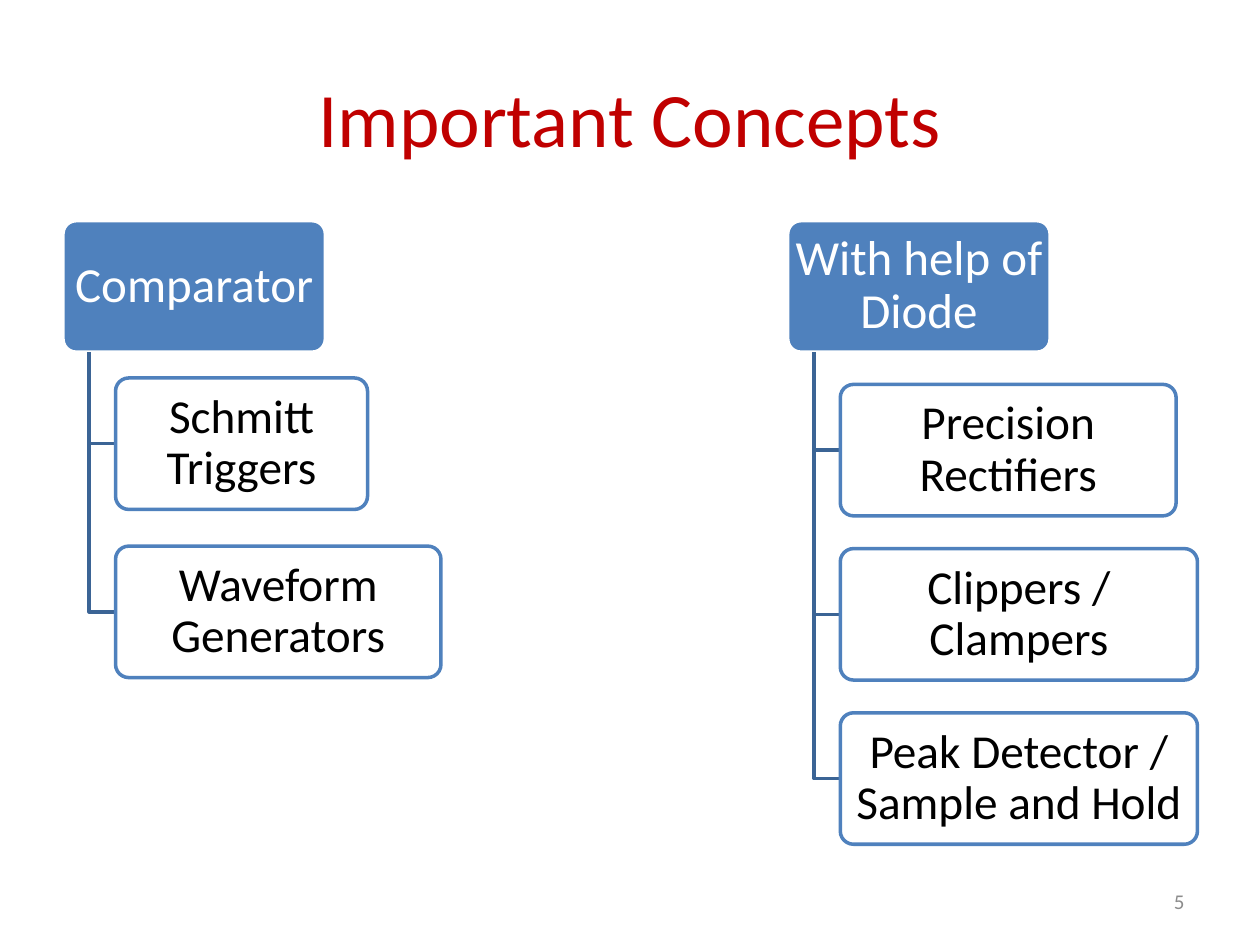
from dataclasses import dataclass

from pptx import Presentation
from pptx.dml.color import RGBColor
from pptx.enum.shapes import MSO_SHAPE
from pptx.enum.text import MSO_ANCHOR, PP_ALIGN
from pptx.shapes.autoshape import Shape
from pptx.slide import Slide
from pptx.util import Cm, Pt

ROUNDED = MSO_SHAPE.ROUNDED_RECTANGLE
MIDDLE = MSO_ANCHOR.MIDDLE
CENTER = PP_ALIGN.CENTER
RIGHT = PP_ALIGN.RIGHT


@dataclass(frozen=True)
class Theme:
    font: str = "Calibri"
    title: str = "C00000"
    accent: str = "4F81BD"
    branch: str = "3B6495"
    paper: str = "FFFFFF"
    ink: str = "000000"
    muted: str = "8C8C8C"
    title_size: float = 44
    head_size: float = 28
    item_size: float = 27
    number_size: float = 12
    line_width: float = 2
    line_spacing: float = 0.9


@dataclass(frozen=True)
class Frame:
    left: float
    top: float
    width: float
    height: float


@dataclass(frozen=True)
class Item:
    text: str
    width: float


@dataclass(frozen=True)
class Tree:
    head: str
    left: float
    first_top: float
    pitch: float
    items: tuple[Item, ...]


THEME = Theme()
TREE_TOP = 4.45
HEAD_WIDTH = 5.29
BOX_HEIGHT = 2.65
INDENT = 1.06
SPINE_OFFSET = INDENT / 2

TREES = (
    Tree("Comparator", 1.27, 7.62, 3.39, (
        Item("Schmitt Triggers", 5.08),
        Item("Waveform Generators", 6.56),
    )),
    Tree("With help of Diode", 15.88, 7.75, 3.31, (
        Item("Precision Rectifiers", 6.77),
        Item("Clippers / Clampers", 7.2),
        Item("Peak Detector / Sample and Hold", 7.2),
    )),
)


def write(shape: Shape, text: str, size: float, color: str,
          align: PP_ALIGN, spacing: float = 1.0) -> None:
    frame = shape.text_frame
    frame.word_wrap = True
    frame.vertical_anchor = MIDDLE
    para = frame.paragraphs[0]
    para.alignment = align
    para.line_spacing = spacing
    span = para.add_run()
    span.text = text
    span.font.name = THEME.font
    span.font.size = Pt(size)
    span.font.color.rgb = RGBColor.from_string(color)


def add_label(page: Slide, frame: Frame, text: str, size: float,
              color: str, align: PP_ALIGN) -> None:
    box = page.shapes.add_textbox(Cm(frame.left), Cm(frame.top),
                                  Cm(frame.width), Cm(frame.height))
    write(box, text, size, color, align)


def set_line(shape: Shape, color: str) -> None:
    shape.shadow.inherit = False
    shape.line.color.rgb = RGBColor.from_string(color)
    shape.line.width = Pt(THEME.line_width)


def add_box(page: Slide, frame: Frame, text: str, size: float,
            fill: str, line: str, color: str) -> None:
    box = page.shapes.add_shape(ROUNDED, Cm(frame.left), Cm(frame.top),
                                Cm(frame.width), Cm(frame.height))
    box.adjustments[0] = 0.1
    box.fill.solid()
    box.fill.fore_color.rgb = RGBColor.from_string(fill)
    set_line(box, line)
    text_frame = box.text_frame
    text_frame.margin_left = text_frame.margin_right = Cm(0.07)
    text_frame.margin_top = text_frame.margin_bottom = Cm(0.02)
    write(box, text, size, color, CENTER, THEME.line_spacing)


def add_branch(page: Slide, left: float, top: float,
               right: float, bottom: float) -> None:
    builder = page.shapes.build_freeform(Cm(left), Cm(top))
    builder.add_line_segments(
        [(Cm(left), Cm(bottom)), (Cm(right), Cm(bottom))], close=False)
    branch = builder.convert_to_shape()
    branch.fill.background()
    set_line(branch, THEME.branch)


def add_tree(page: Slide, tree: Tree) -> None:
    add_box(page, Frame(tree.left, TREE_TOP, HEAD_WIDTH, BOX_HEIGHT),
            tree.head, THEME.head_size, THEME.accent, THEME.paper, THEME.paper)
    item_left = tree.left + INDENT
    for index, item in enumerate(tree.items):
        top = tree.first_top + index * tree.pitch
        add_branch(page, tree.left + SPINE_OFFSET, TREE_TOP + BOX_HEIGHT,
                   item_left, top + BOX_HEIGHT / 2)
        add_box(page, Frame(item_left, top, item.width, BOX_HEIGHT),
                item.text, THEME.item_size, THEME.paper, THEME.accent, THEME.ink)


def main() -> None:
    deck = Presentation()
    deck.slide_width = Cm(25.4)
    deck.slide_height = Cm(19.05)
    page = deck.slides.add_slide(deck.slide_layouts[6])
    add_label(page, Frame(1.27, 0.76, 22.86, 3.18), "Important Concepts",
              THEME.title_size, THEME.title, CENTER)
    add_label(page, Frame(18.2, 17.66, 5.93, 1.01), "5",
              THEME.number_size, THEME.muted, RIGHT)
    for tree in TREES:
        add_tree(page, tree)
    deck.save("out.pptx")


if __name__ == "__main__":
    main()
